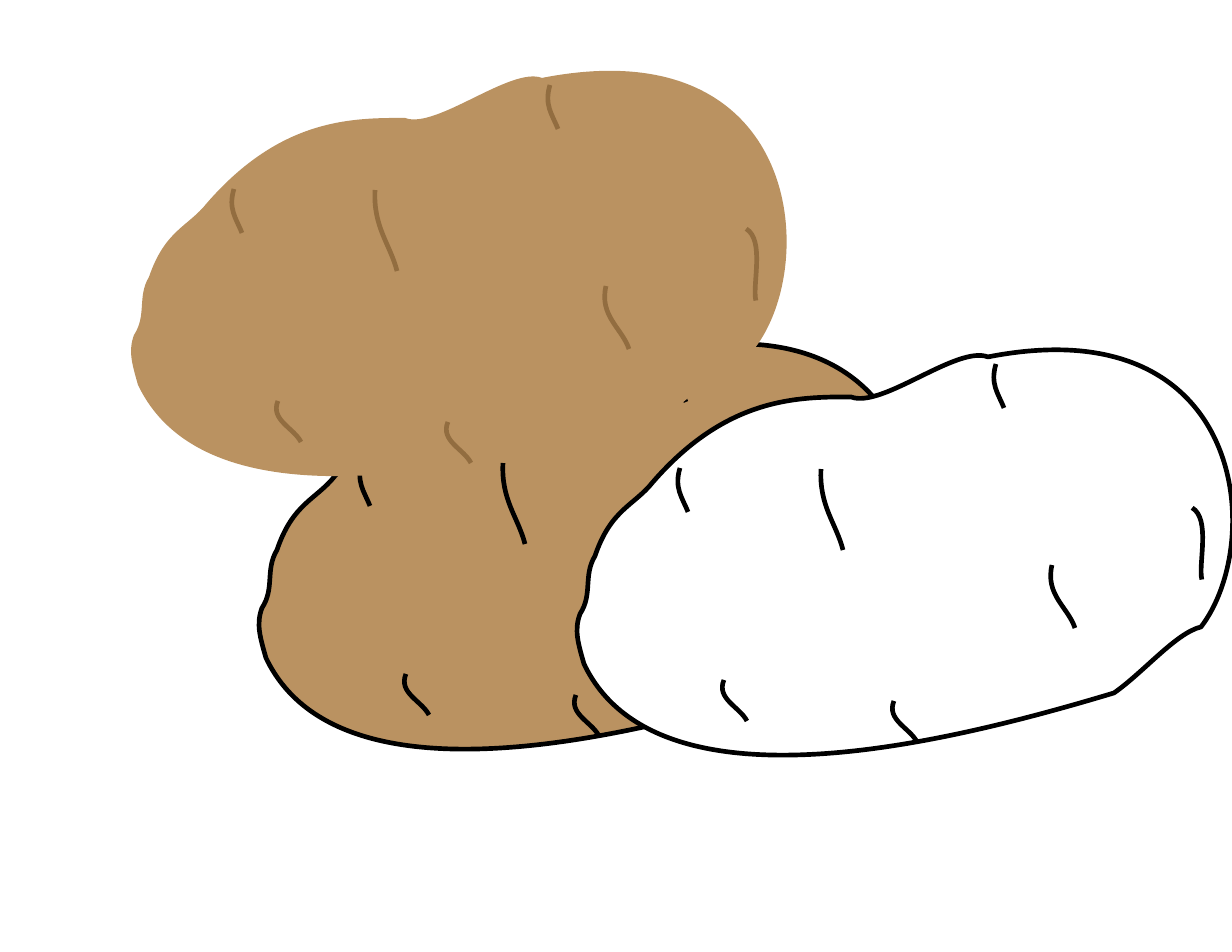
import pptx
import pptx.dml.color
import pptx.oxml.ns
import pptx.util
from lxml import etree

PX = 914400 // 112
SLIDE_SIZE = (1232, 952)
THEME = {
    "brown": "BA9261",
    "dark_brown": "926D40",
    "black": "000000",
    "white": "FFFFFF",
    "stroke": 3,
}

SKIN = [
    (207, 203),
    (281, 118), (352, 118), (405, 118),
    (436, 130), (511, 66), (542, 78),
    (801, 27), (820, 263), (755, 348),
    (730, 354), (698, 393), (668, 414),
    (505, 463), (211, 538), (138, 385),
    (132, 364), (128, 351), (134, 335),
    (147, 315), (137, 297), (149, 277),
    (165, 230), (188, 227), (207, 203),
]
NICK = [(0, 0), (-6, 20), (2, 29), (8, 44)]
CREASE = [(0, 0), (-2, 37), (15, 54), (22, 81)]
FOLD = [(0, 0), (-7, 30), (16, 42), (23, 63)]
DIMPLE = [(0, 0), (-8, 19), (16, 27), (23, 41)]
SIDE = [(0, 0), (6, 21), (-34, 45), (-42, 59)]
MARKS = [
    (NICK, (550, 85), 0),
    (NICK, (234, 189), 0),
    (CREASE, (375, 190), 0),
    (FOLD, (606, 286), 0),
    (DIMPLE, (448, 422), 0),
    (SIDE, (772, 235), 316.9),
    (DIMPLE, (278, 401), 0),
]
POTATOES = [
    {"offset": (128, 273), "skin": "brown", "edge": "black",
     "mark": "black", "mark_fill": None},
    {"offset": (0, 0), "skin": "brown", "edge": None,
     "mark": "dark_brown", "mark_fill": None},
    {"offset": (446, 279), "skin": "white", "edge": "black",
     "mark": "black", "mark_fill": "white"},
]


def shift(points, offset):
    return [(x + offset[0], y + offset[1]) for x, y in points]


def cubics(points):
    return [points[i:i + 4] for i in range(0, len(points) - 1, 3)]


def point_on(cubic, t):
    weights = ((1 - t) ** 3, 3 * t * (1 - t) ** 2, 3 * t * t * (1 - t), t ** 3)
    return tuple(sum(w * p[axis] for w, p in zip(weights, cubic)) for axis in (0, 1))


def paint(fill, colour):
    if colour is None:
        fill.background()
    else:
        fill.solid()
        fill.fore_color.rgb = pptx.dml.color.RGBColor.from_string(THEME[colour])


def add_curve(group, points, fill=None, line=None, closed=False, rotation=0):
    points = [(x * PX, y * PX) for x, y in points]
    samples = [point_on(cubic, step / 40) for cubic in cubics(points) for step in range(1, 41)]
    builder = group.shapes.build_freeform(*points[0], scale=1.0)
    builder.add_line_segments(samples, close=closed)
    curve = builder.convert_to_shape()

    outline = curve._element.xpath(".//a:path")[0]
    segments = outline.xpath("./a:lnTo")
    start = segments[0].getprevious()
    for segment in segments:
        outline.remove(segment)
    for cubic in reversed(cubics(points)):
        bezier = etree.Element(pptx.oxml.ns.qn("a:cubicBezTo"))
        for x, y in cubic[1:]:
            etree.SubElement(bezier, pptx.oxml.ns.qn("a:pt"),
                             x=str(round(x - curve.left)), y=str(round(y - curve.top)))
        start.addnext(bezier)

    curve.shadow.inherit = False
    curve.rotation = rotation
    paint(curve.fill, fill)
    paint(curve.line.fill, line)
    if line:
        curve.line.width = pptx.util.Pt(THEME["stroke"])


def add_potato(slide, potato):
    group = slide.shapes.add_group_shape()
    add_curve(group, shift(SKIN, potato["offset"]),
              fill=potato["skin"], line=potato["edge"], closed=True)
    for mark, start, rotation in MARKS:
        add_curve(group, shift(shift(mark, start), potato["offset"]),
                  fill=potato["mark_fill"], line=potato["mark"], rotation=rotation)


def main():
    deck = pptx.Presentation()
    deck.slide_width, deck.slide_height = (side * PX for side in SLIDE_SIZE)
    slide = deck.slides.add_slide(deck.slide_layouts[6])
    for potato in POTATOES:
        add_potato(slide, potato)
    deck.save("out.pptx")


if __name__ == "__main__":
    main()
